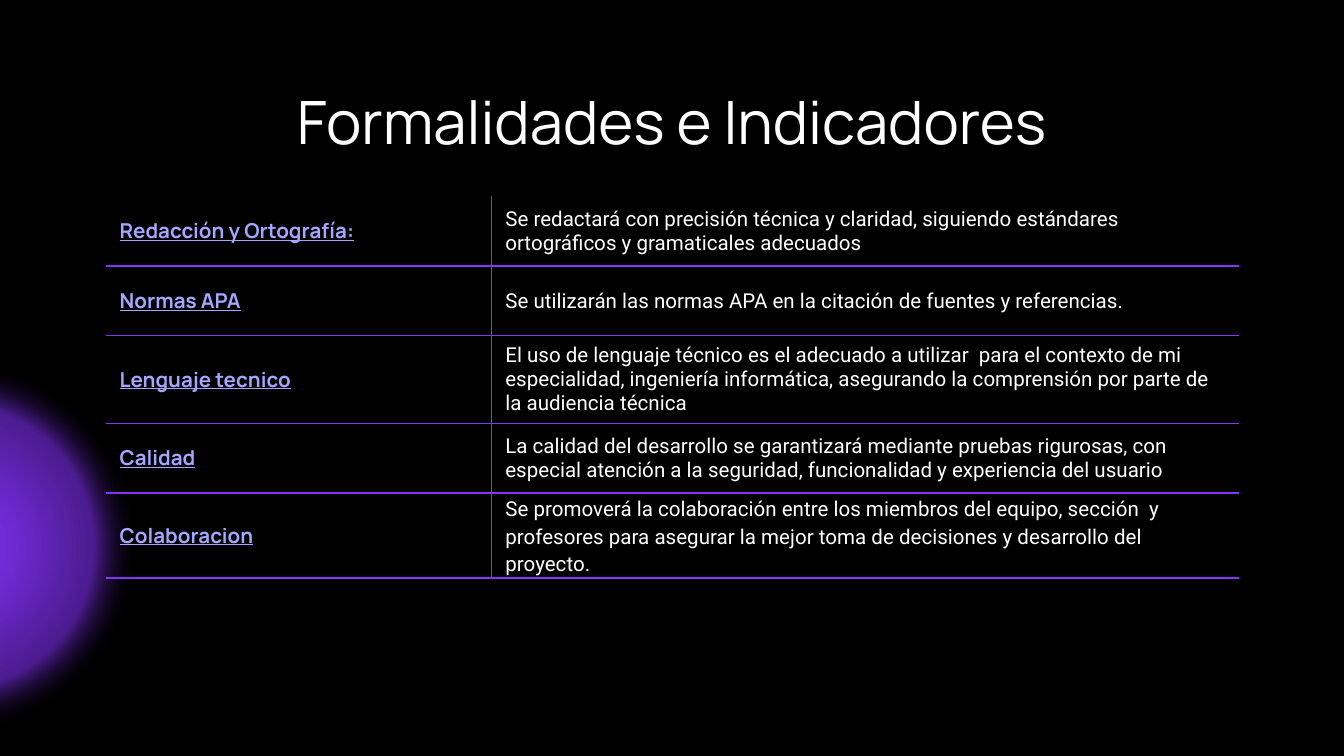
from lxml import etree
from pptx import Presentation
from pptx import util as u
from pptx.dml import color
from pptx.enum import shapes, text
from pptx.oxml import ns

HUES = {"back": "000000", "glow": "8733FF", "label": "A3A7FF",
        "body": "FFFFFF", "rule": "8733FF"}
GLOW = [(0, "glow", 100), (29, "glow", 76), (41, "glow", 64),
        (51, "glow", 55), (67, "back", 0), (100, "back", 0)]
COLS = [2.87, 5.56]
ROWS = [0.52, 0.52, 0.65, 0.52, 0.5]
TITLE = {"name": "Manrope", "size": u.Pt(32), "bold": False}
LABEL = {"name": "Manrope", "size": u.Pt(11), "bold": True, "underline": True}
BODY = {"name": "Roboto", "size": u.Pt(11), "bold": False, "underline": False}
AFTER = {"space_after": u.Pt(16)}
LOOSE = {"line_spacing": 1.15, "space_before": u.Pt(12), "space_after": u.Pt(12)}
ITEMS = [
    ("Redacción y Ortografía:",
     "Se redactará con precisión técnica y claridad, siguiendo estándares "
     "ortográficos y gramaticales adecuados", AFTER),
    ("Normas APA",
     "Se utilizarán las normas APA en la citación de fuentes y referencias.", AFTER),
    ("Lenguaje tecnico",
     "El uso de lenguaje técnico es el adecuado a utilizar  para el contexto de mi "
     "especialidad, ingeniería informática, asegurando la comprensión por parte de "
     "la audiencia técnica", AFTER),
    ("Calidad",
     "La calidad del desarrollo se garantizará mediante pruebas rigurosas, con "
     "especial atención a la seguridad, funcionalidad y experiencia del usuario", AFTER),
    ("Colaboracion",
     "Se promoverá la colaboración entre los miembros del equipo, sección  y "
     "profesores para asegurar la mejor toma de decisiones y desarrollo del "
     "proyecto.", LOOSE),
]


def put(item, look):
    """Set each attribute in look on item."""
    for key, value in look.items():
        setattr(item, key, value)


def tint(hue):
    """Return the named colour."""
    return color.RGBColor.from_string(HUES[hue])


def node(root, tag, **attrs):
    """Add a drawing element below root."""
    return etree.SubElement(root, ns.qn("a:" + tag), attrs)


def write(frame, words, font, hue, para):
    """Fill the first paragraph of a frame with styled words."""
    line = frame.paragraphs[0]
    put(line, para)
    run = line.add_run()
    run.text = words
    put(run.font, font)
    run.font.color.rgb = tint(hue)


def add_glow(slide, box):
    """Draw the soft round light in the box."""
    disc = slide.shapes.add_shape(shapes.MSO_SHAPE.OVAL, *map(u.Inches, box))
    disc.shadow.inherit = False
    disc.line.fill.background()
    disc.fill.gradient()
    grad = disc.fill._xPr.find(ns.qn("a:gradFill"))
    for child in list(grad):
        grad.remove(child)
    stops = node(grad, "gsLst")
    for spot, hue, alpha in GLOW:
        stop = node(stops, "gs", pos=str(spot * 1000))
        fill = node(stop, "srgbClr", val=HUES[hue])
        node(fill, "alpha", val=str(alpha * 1000))
    round_ = node(grad, "path", path="circle")
    node(round_, "fillToRect", **dict.fromkeys("ltrb", "50000"))


def add_title(slide, box):
    """Place the centred heading in the box."""
    frame = slide.shapes.add_textbox(*map(u.Inches, box)).text_frame
    put(frame, {"word_wrap": True, "vertical_anchor": text.MSO_ANCHOR.TOP})
    put(frame, {"margin_" + side: u.Inches(0.1)
                for side in ("left", "right", "top", "bottom")})
    write(frame, "Formalidades e Indicadores", TITLE, "body",
          {"alignment": text.PP_ALIGN.CENTER})


def edge(cell, sides):
    """Draw the named cell sides and hide the others."""
    props = cell._tc.get_or_add_tcPr()
    for spot, side in enumerate("LRTB"):
        line = etree.Element(ns.qn("a:ln" + side), w=str(u.Pt(0.75)))
        if side in sides:
            node(node(line, "solidFill"), "srgbClr", val=HUES["rule"])
        else:
            node(line, "noFill")
        props.insert(spot, line)


def add_grid(slide, left, top):
    """Build the table of topics from its top left corner."""
    size = (left, top, sum(COLS), sum(ROWS))
    grid = slide.shapes.add_table(len(ROWS), len(COLS), *map(u.Inches, size)).table
    put(grid, {"first_row": False, "horz_banding": False})
    for col, width in zip(grid.columns, COLS):
        col.width = u.Inches(width)
    for n, (row, (label, body, para)) in enumerate(zip(grid.rows, ITEMS)):
        row.height = u.Inches(ROWS[n])
        parts = [(label, LABEL, "label", {}), (body, BODY, "body", para)]
        for cell, part, side in zip(row.cells, parts, "RL"):
            put(cell, {"margin_left": u.Inches(0.1), "margin_right": u.Inches(0.1),
                       "margin_top": 0, "margin_bottom": 0,
                       "vertical_anchor": text.MSO_ANCHOR.MIDDLE})
            cell.fill.background()
            write(cell.text_frame, *part)
            edge(cell, side + ("TB" if n else "B"))


def main():
    """Build and save the slide."""
    deck = Presentation()
    put(deck, {"slide_width": u.Inches(10), "slide_height": u.Pt(405)})
    slide = deck.slides.add_slide(deck.slide_layouts[6])
    slide.background.fill.solid()
    slide.background.fill.fore_color.rgb = tint("back")
    add_glow(slide, (-1.86, 2.58, 2.97, 2.97))
    add_title(slide, (0.78, 0.53, 8.44, 0.63))
    add_grid(slide, 0.79, 1.46)
    deck.save("out.pptx")


if __name__ == "__main__":
    main()
